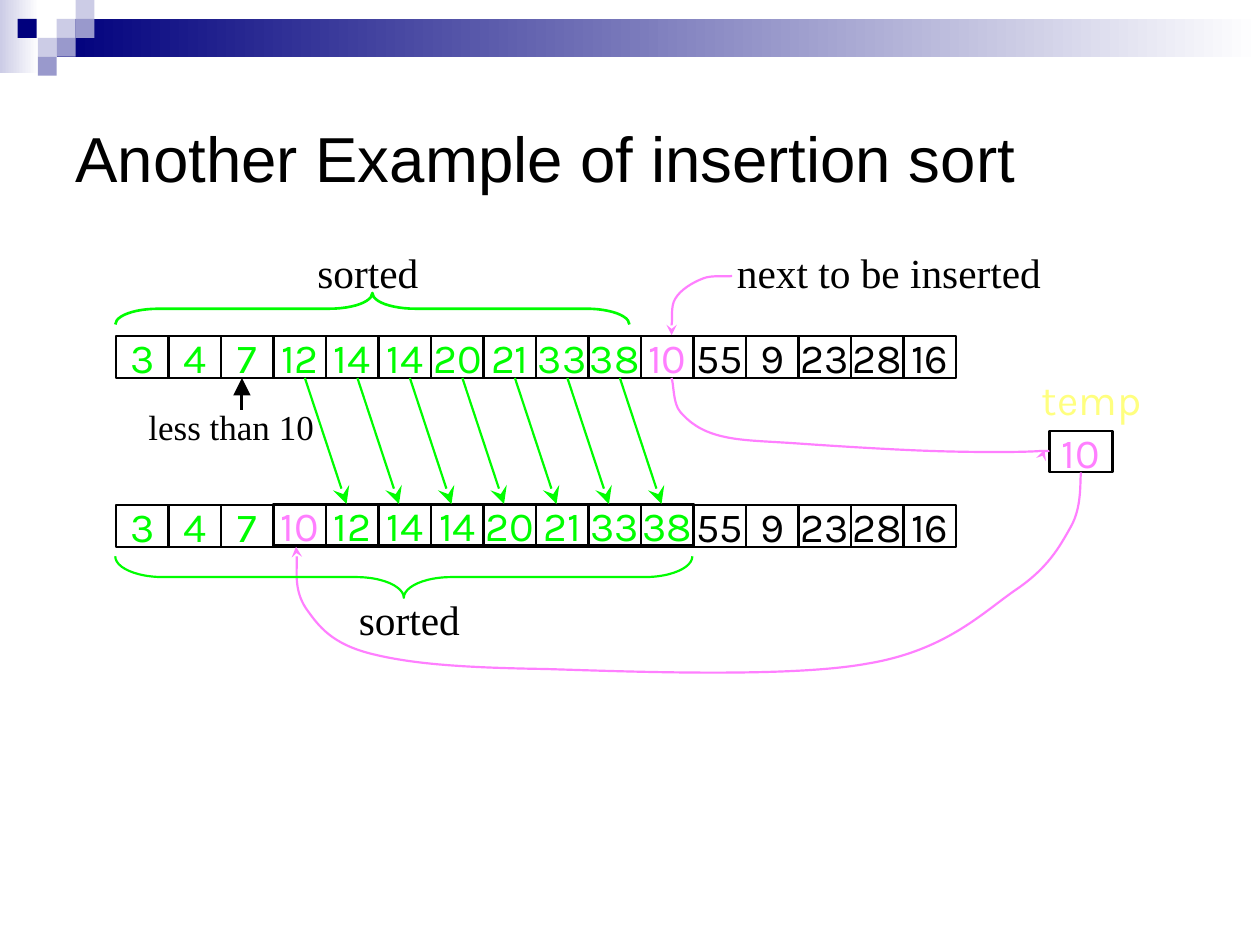
"""Build a slide that shows one step of insertion sort on an array."""
from pptx import Presentation
from pptx.dml.color import RGBColor
from pptx.enum import shapes, text
from pptx.oxml.ns import qn
from pptx.util import Inches, Pt

BLACK = RGBColor(0x00, 0x00, 0x00)
GREEN = RGBColor(0x00, 0xFD, 0x00)
PINK = RGBColor(0xFF, 0x7F, 0xFF)
YELLOW = RGBColor(0xFF, 0xFF, 0x7F)
NAVY = RGBColor(0x00, 0x00, 0x7D)
LAVENDER = RGBColor(0xCC, 0xCC, 0xE6)
VIOLET = RGBColor(0x99, 0x99, 0xCC)
WHITE = RGBColor(0xFF, 0xFF, 0xFF)

ROW_LEFT, PITCH = 0.92, 5 / 12
CELL_WIDTH, CELL_HEIGHT = 0.42, 0.33
TOP_ROW, BOTTOM_ROW, MOVED_ROW = 2.67, 4.01, 4.0
BEFORE = [3, 4, 7, 12, 14, 14, 20, 21, 33, 38, 10, 55, 9, 23, 28, 16]
FIRST_MOVED, INSERTED = 3, 10

TILES = [
    (0.45, 0.15, LAVENDER), (0.6, 0, LAVENDER), (0.6, 0.15, VIOLET),
    (0.3, 0.3, LAVENDER), (0.14, 0.15, NAVY), (0.45, 0.3, VIOLET),
    (0.3, 0.45, VIOLET),
]

NEXT_CURVE = [
    (5.81, 2.19), (5.77, 2.2), (5.65, 2.18), (5.58, 2.21),
    (5.5, 2.24), (5.4, 2.3), (5.36, 2.37),
    (5.32, 2.43), (5.34, 2.53), (5.33, 2.58),
    (5.33, 2.63), (5.33, 2.65), (5.33, 2.66),
]
SAVE_CURVE = [
    (5.33, 3), (5.35, 3.05), (5.34, 3.2), (5.4, 3.27),
    (5.47, 3.35), (5.56, 3.42), (5.72, 3.46),
    (5.88, 3.5), (6.05, 3.5), (6.34, 3.52),
    (6.62, 3.54), (7.1, 3.57), (7.42, 3.58),
    (7.74, 3.59), (8.1, 3.59), (8.25, 3.58),
    (8.4, 3.58), (8.29, 3.57), (8.29, 3.57),
]
INSERT_CURVE = [
    (8.58, 3.75), (8.57, 3.82), (8.59, 4.02), (8.5, 4.18),
    (8.41, 4.34), (8.32, 4.51), (8.05, 4.69),
    (7.78, 4.88), (7.49, 5.17), (6.87, 5.27),
    (6.25, 5.38), (4.98, 5.33), (4.33, 5.31),
    (3.67, 5.3), (3.27, 5.27), (2.95, 5.19),
    (2.63, 5.11), (2.53, 4.97), (2.43, 4.83),
    (2.33, 4.68), (2.37, 4.44), (2.35, 4.34),
]


def set_line(shape, color, width=1.25, arrowhead=None, head_size="med"):
    """Colour the line of a shape and end it with an optional arrowhead."""
    shape.line.color.rgb = color
    shape.line.width = Pt(width)
    if arrowhead:
        line = shape.line._get_or_add_ln()
        line.append(line.makeelement(
            qn("a:tailEnd"),
            {"type": arrowhead, "w": head_size, "len": head_size}))


def add_preset(slide, kind, left, top, width, height):
    """Add a preset shape without shadow, fill or line."""
    shape = slide.shapes.add_shape(
        kind, Inches(left), Inches(top), Inches(width), Inches(height))
    shape.shadow.inherit = False
    shape.fill.background()
    shape.line.fill.background()
    return shape


def add_tile(slide, left, top, width, height, color, end_color=None):
    """Add a decorative rectangle, plain or fading to the right."""
    tile = add_preset(slide, shapes.MSO_SHAPE.RECTANGLE, left, top, width, height)
    if end_color is None:
        tile.fill.solid()
        tile.fill.fore_color.rgb = color
        return
    tile.fill.gradient()
    tile.fill.gradient_angle = 0
    for stop, stop_color in zip(tile.fill.gradient_stops, (color, end_color)):
        stop.color.rgb = stop_color


def add_run(paragraph, wording, size, font, color):
    """Add one formatted run to a paragraph."""
    run = paragraph.add_run()
    run.text = wording
    run.font.size = Pt(size)
    run.font.name = font
    run.font.color.rgb = color


def add_label(slide, wording, left, top, width, height, size=23.6,
              font="Times New Roman", color=BLACK, anchor=text.MSO_ANCHOR.TOP):
    """Add a text box with one line of text."""
    frame = slide.shapes.add_textbox(
        Inches(left), Inches(top), Inches(width), Inches(height)).text_frame
    frame.word_wrap = True
    frame.vertical_anchor = anchor
    add_run(frame.paragraphs[0], wording, size, font, color)


def add_cell(slide, value, left, top, color, width=CELL_WIDTH):
    """Add one array cell, empty when the value is None."""
    cell = add_preset(
        slide, shapes.MSO_SHAPE.RECTANGLE, left, top, width, CELL_HEIGHT)
    set_line(cell, BLACK)
    if value is None:
        return
    frame = cell.text_frame
    frame.word_wrap = False
    frame.vertical_anchor = text.MSO_ANCHOR.MIDDLE
    frame.paragraphs[0].alignment = text.PP_ALIGN.CENTER
    add_run(frame.paragraphs[0], str(value), 23.6, "Karla", color)


def add_row(slide, values, top, first=0):
    """Add a row of cells coloured by their role in the sort."""
    for index, value in enumerate(values, first):
        color = GREEN if index <= INSERTED else BLACK
        if value == BEFORE[INSERTED]:
            color = PINK
        add_cell(slide, value, ROW_LEFT + index * PITCH, top, color)


def add_arrow(slide, start, end, color, width, arrowhead):
    """Add a straight arrow with a large head."""
    arrow = slide.shapes.add_connector(
        shapes.MSO_CONNECTOR.STRAIGHT, *map(Inches, start + end))
    set_line(arrow, color, width, arrowhead, "lg")
    properties = arrow._element.spPr
    properties.append(properties.makeelement(qn("a:effectLst"), {}))


def add_curve(slide, points):
    """Add a pink arrow along Bezier segments of three points each."""
    start, *others = [(Inches(x), Inches(y)) for x, y in points]
    builder = slide.shapes.build_freeform(*start)
    builder.add_line_segments(others, close=False)
    curve = builder.convert_to_shape()
    curve.shadow.inherit = False
    curve.fill.background()
    set_line(curve, PINK, arrowhead="stealth")
    segments = list(curve._element.iter(qn("a:lnTo")))
    for first in range(0, len(segments), 3):
        bezier = segments[first].makeelement(qn("a:cubicBezTo"), {})
        segments[first].addprevious(bezier)
        for segment in segments[first:first + 3]:
            bezier.append(segment[0])
            segment.getparent().remove(segment)


def add_brace(slide, left, top, width, height, rotation, curl, line_width):
    """Add a green brace turned to span a row."""
    brace = add_preset(
        slide, shapes.MSO_SHAPE.LEFT_BRACE, left, top, width, height)
    brace.rotation = rotation
    brace.adjustments[0] = curl
    brace.adjustments[1] = 0.5
    set_line(brace, GREEN, line_width)


def add_banner(slide):
    """Add the fading bands and the tiles at the top of the slide."""
    add_tile(slide, 0, 0, 0.31, 0.58, LAVENDER, WHITE)
    add_tile(slide, 0.45, 0.15, 9.55, 0.3, NAVY, WHITE)
    for left, top, color in TILES:
        add_tile(slide, left, top, 0.15, 0.15, color)


def main():
    """Build and save the presentation."""
    presentation = Presentation()
    presentation.slide_width, presentation.slide_height = Inches(10), Inches(7.5)
    slide = presentation.slides.add_slide(presentation.slide_layouts[6])
    add_banner(slide)
    add_label(slide, "Another Example of insertion sort", 0.5, 0.5, 9, 1.5,
              36.3, "Arial", anchor=text.MSO_ANCHOR.MIDDLE)

    add_row(slide, BEFORE, TOP_ROW)
    add_brace(slide, 2.83, 0.41, 0.25, 4.08, 90, 1.36, 1.5)
    add_label(slide, "sorted", 2.42, 1.91, 1.25, 0.5)
    add_label(slide, "next to be inserted", 5.75, 1.91, 3, 0.5)
    add_curve(slide, NEXT_CURVE)

    vacated = [None] * (INSERTED + 1 - FIRST_MOVED)
    add_row(slide, BEFORE[:FIRST_MOVED] + vacated + BEFORE[INSERTED + 1:],
            BOTTOM_ROW)
    add_cell(slide, BEFORE[INSERTED], 8.33, 3.42, PINK, width=0.5)
    add_label(slide, "temp", 8.17, 2.92, 1, 0.5, font="Karla", color=YELLOW)
    add_curve(slide, SAVE_CURVE)

    add_row(slide, [BEFORE[INSERTED]] + BEFORE[FIRST_MOVED:INSERTED],
            MOVED_ROW, FIRST_MOVED)
    for step in range(INSERTED - FIRST_MOVED):
        start = 2.42 + step * PITCH
        add_arrow(slide, (start, 3), (start + 0.33, 4), GREEN, 1.25, "stealth")
    add_curve(slide, INSERT_CURVE)
    add_brace(slide, 3.04, 2.29, 0.33, 4.58, 270, 1.15, 1.25)
    add_label(slide, "sorted", 2.75, 4.67, 1.42, 0.5)
    add_arrow(slide, (1.92, 3.25), (1.92, 3), BLACK, 1.75, "triangle")
    add_label(slide, "less than 10", 1.08, 3.17, 1.58, 0.44, size=20)
    presentation.save("out.pptx")


if __name__ == "__main__":
    main()
